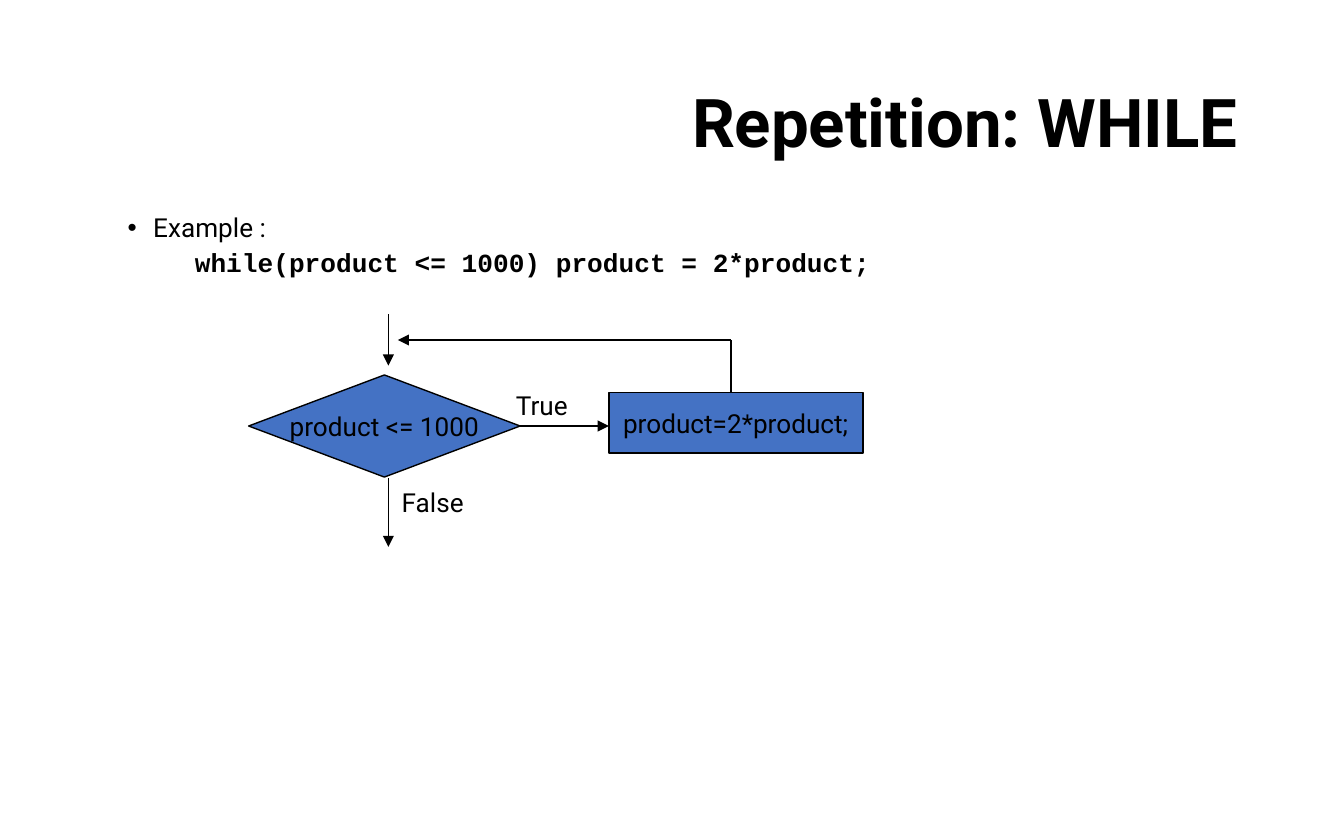
"""Build the slide that explains the while loop with a flowchart."""
import pptx
import pptx.util
import pptx.dml.color
import pptx.enum.shapes
import pptx.enum.text
import pptx.oxml
import pptx.oxml.ns

Inches, Pt = pptx.util.Inches, pptx.util.Pt
SHAPES = pptx.enum.shapes.MSO_SHAPE
ALIGN = pptx.enum.text.PP_ALIGN
ANCHOR = pptx.enum.text.MSO_ANCHOR
BLACK = pptx.dml.color.RGBColor(0x00, 0x00, 0x00)
BLUE = pptx.dml.color.RGBColor(0x44, 0x72, 0xC4)


def add_text(paragraph, text, size=14, font="Roboto", bold=False):
    run = paragraph.add_run()
    run.text = text
    run.font.name = font
    run.font.size = Pt(size)
    run.font.bold = bold
    run.font.color.rgb = BLACK


def add_xml(parent, tag, **attributes):
    element = pptx.oxml.parse_xml(f"<a:{tag} {pptx.oxml.ns.nsdecls('a')}/>")
    for name, value in attributes.items():
        element.set(name, value)
    parent.append(element)


deck = pptx.Presentation()
deck.slide_width, deck.slide_height = Inches(10), Inches(6.25)
slide = deck.slides.add_slide(deck.slide_layouts[1])

title = slide.shapes.title
title.left, title.top = Inches(2.19), Inches(0.33)
title.width, title.height = Inches(7.12), Inches(1.21)
title.text_frame.vertical_anchor = ANCHOR.MIDDLE
heading = title.text_frame.paragraphs[0]
heading.alignment = ALIGN.RIGHT
heading.line_spacing = 0.9
add_text(heading, "Repetition: WHILE", size=36, bold=True)

body = slide.placeholders[1]
body.left, body.top = Inches(0.85), Inches(1.55)
body.width, body.height = Inches(8.85), Inches(4.12)
example = body.text_frame.paragraphs[0]
code = body.text_frame.add_paragraph()
code.level = 1
for paragraph, margin, indent, before in (
    (example, 0.19, -0.19, 0),
    (code, 1.01, -0.51, 3.8),
):
    paragraph.line_spacing = 0.9
    paragraph.space_before = Pt(before)
    properties = paragraph._p.get_or_add_pPr()
    properties.set("marL", str(Inches(margin)))
    properties.set("indent", str(Inches(indent)))
add_xml(example._p.pPr, "buFont", typeface="Arial")
add_xml(example._p.pPr, "buChar", char="•")
add_xml(code._p.pPr, "buNone")
add_text(example, "Example :")
add_text(code, "while(product <= 1000) product = 2*product;", font="Courier New", bold=True)

steps = []
for kind, left, top, width, height, text in (
    (SHAPES.FLOWCHART_DECISION, 1.85, 2.79, 2.02, 0.76, "product <= 1000"),
    (SHAPES.FLOWCHART_PROCESS, 4.53, 2.92, 1.89, 0.45, "product=2*product;"),
):
    step = slide.shapes.add_shape(kind, Inches(left), Inches(top), Inches(width), Inches(height))
    step.shadow.inherit = False
    step.fill.solid()
    step.fill.fore_color.rgb = BLUE
    step.line.color.rgb = BLACK
    step.line.width = Pt(0.75)
    step.text_frame.word_wrap = False
    step.text_frame.vertical_anchor = ANCHOR.MIDDLE
    step.text_frame.paragraphs[0].alignment = ALIGN.CENTER
    add_text(step.text_frame.paragraphs[0], text)
    steps.append(step)
condition, doubling = steps

flows = []
for x1, y1, x2, y2, has_arrow in (
    (2.89, 2.34, 2.89, 2.72, True),
    (3.87, 3.17, 4.53, 3.17, True),
    (5.44, 2.92, 5.44, 2.53, False),
    (5.44, 2.53, 2.96, 2.53, True),
    (2.89, 3.56, 2.89, 4.07, True),
):
    flow = slide.shapes.add_connector(
        pptx.enum.shapes.MSO_CONNECTOR.STRAIGHT, Inches(x1), Inches(y1), Inches(x2), Inches(y2)
    )
    flow.line.color.rgb = BLACK
    flow.line.width = Pt(0.75)
    if has_arrow:
        add_xml(flow.line._get_or_add_ln(), "tailEnd", type="triangle")
    add_xml(flow._element.spPr, "effectLst")
    flows.append(flow)
flows[1].begin_connect(condition, 3)

for left, top, width, text in ((2.89, 3.57, 0.72, "False"), (3.74, 2.85, 0.65, "True")):
    branch = slide.shapes.add_textbox(Inches(left), Inches(top), Inches(width), Inches(0.34))
    branch.text_frame.word_wrap = True
    branch.text_frame.auto_size = pptx.enum.text.MSO_AUTO_SIZE.SHAPE_TO_FIT_TEXT
    add_text(branch.text_frame.paragraphs[0], text)

deck.save("out.pptx")
